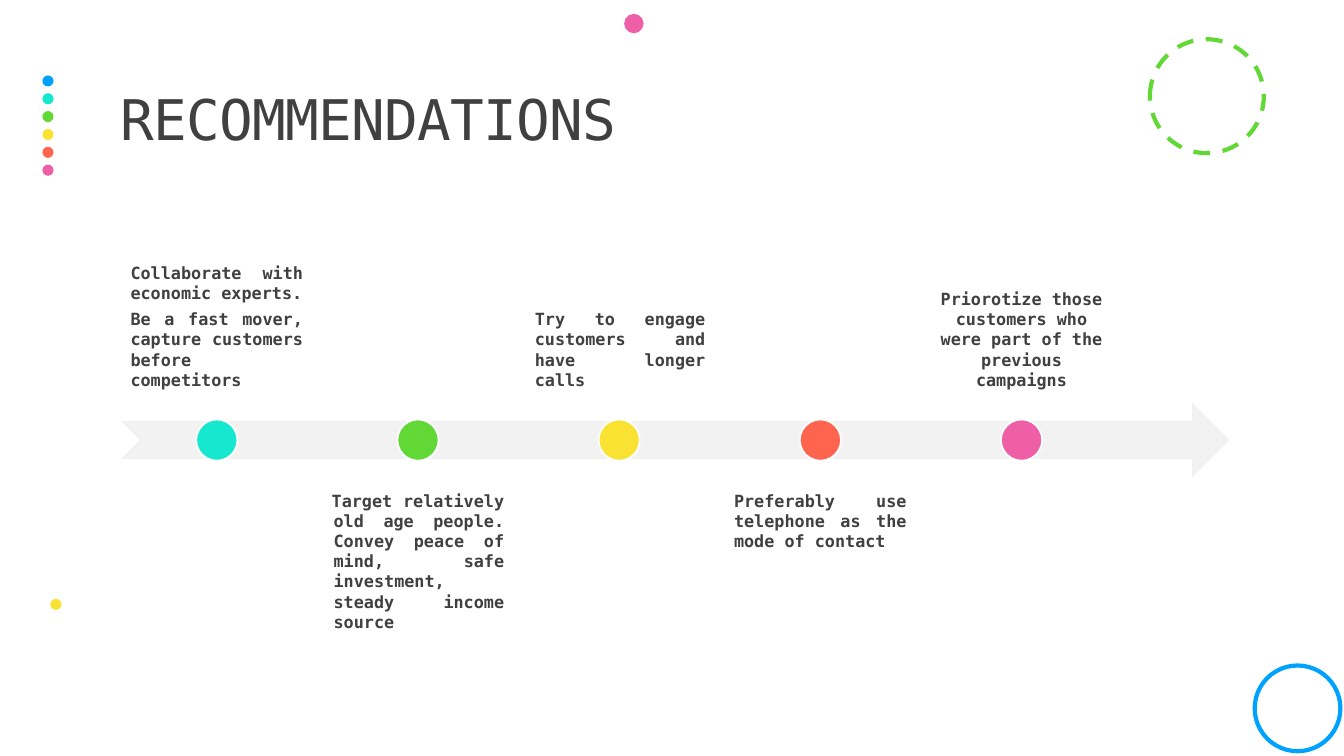
from pptx import Presentation
from pptx.dml.color import RGBColor
from pptx.enum.dml import MSO_LINE
from pptx.enum.shapes import MSO_SHAPE
from pptx.enum.text import MSO_ANCHOR, PP_ALIGN
from pptx.util import Cm, Pt

FONT = "DejaVu Sans Mono"
INK = "404040"
BLUE, TEAL, GREEN, YELLOW, ORANGE, PINK = PALETTE = (
    "00A2FF", "16E7CF", "61D836", "FAE232", "FF644E", "EF5FA7")

LEFT = 3.05
BAND_WIDTH = 27.94
STEP_PITCH = 5.07
STEP_WIDTH, STEP_HEIGHT = 4.83, 4.19
ABOVE_TOP, BELOW_TOP = 5.87, 12.12
MARKER_SIZE = 1.04
MARKER_TOP = 10.57

STEPS = [
    (["Collaborate with economic experts.",
      "Be a fast mover, capture customers before competitors"],
     PP_ALIGN.JUSTIFY, 0, 0),
    (["Target relatively old age people. Convey peace of mind, safe investment, "
      "steady income source"], PP_ALIGN.JUSTIFY, 0.05, -0.05),
    (["Try to engage customers and have longer calls"], PP_ALIGN.JUSTIFY, 0.05, 0),
    (["Preferably use telephone as the mode of contact"], PP_ALIGN.JUSTIFY, 0, 0),
    (["Priorotize those customers who were part of the previous campaigns"],
     PP_ALIGN.CENTER, 0, 0),
]


def color(hex_code):
    return RGBColor.from_string(hex_code)


def add_figure(slide, preset, left, top, width, height, fill=None, line=None, weight=3):
    figure = slide.shapes.add_shape(preset, Cm(left), Cm(top), Cm(width), Cm(height))
    figure.shadow.inherit = False
    if fill:
        figure.fill.solid()
        figure.fill.fore_color.rgb = color(fill)
    else:
        figure.fill.background()
    if line:
        figure.line.color.rgb = color(line)
        figure.line.width = Pt(weight)
    else:
        figure.line.fill.background()
    return figure


def add_circle(slide, left, top, size, **style):
    return add_figure(slide, MSO_SHAPE.OVAL, left, top, size, size, **style)


def add_frame(slide, left, top, width, height, anchor, inset_x, inset_y):
    frame = slide.shapes.add_textbox(Cm(left), Cm(top), Cm(width), Cm(height)).text_frame
    frame.word_wrap = True
    frame.vertical_anchor = anchor
    frame.margin_left = frame.margin_right = Cm(inset_x)
    frame.margin_top = frame.margin_bottom = Cm(inset_y)
    return frame


def add_run(paragraph, text, size, bold=False):
    run = paragraph.add_run()
    run.text = text
    run.font.name = FONT
    run.font.size = Pt(size)
    run.font.bold = bold
    run.font.color.rgb = color(INK)
    return run


def add_title(slide, text):
    frame = add_frame(slide, LEFT, 1.17, BAND_WIDTH, 3.81, MSO_ANCHOR.MIDDLE, 0, 0.13)
    heading = frame.paragraphs[0]
    heading.line_spacing = 0.9
    run = add_run(heading, text, 40)
    run.font._element.set("spc", "-50")


def add_step(slide, index, texts, alignment, margin, indent):
    left = LEFT + index * STEP_PITCH
    above = index % 2 == 0
    frame = add_frame(slide, left, ABOVE_TOP if above else BELOW_TOP,
                      STEP_WIDTH, STEP_HEIGHT,
                      MSO_ANCHOR.BOTTOM if above else MSO_ANCHOR.TOP, 0.24, 0.24)
    for number, text in enumerate(texts):
        paragraph = frame.add_paragraph() if number else frame.paragraphs[0]
        paragraph.alignment = alignment
        paragraph.space_after = Pt(4.2)
        properties = paragraph._p.get_or_add_pPr()
        properties.set("marL", str(Cm(margin)))
        properties.set("indent", str(Cm(indent)))
        add_run(paragraph, text, 12, bold=True)
    add_circle(slide, left + (STEP_WIDTH - MARKER_SIZE) / 2, MARKER_TOP, MARKER_SIZE,
               fill=PALETTE[index + 1], line="FFFFFF", weight=1.25)


def add_decoration(slide):
    for row, hue in enumerate(PALETTE):
        add_circle(slide, 1.07, 1.9 + row * 0.45, 0.28, fill=hue)
    dashed_ring = add_circle(slide, 28.98, 0.99, 2.87, line=GREEN)
    dashed_ring.line.dash_style = MSO_LINE.DASH
    add_circle(slide, 15.73, 0.35, 0.49, fill=PINK)
    add_circle(slide, 1.27, 15.09, 0.28, fill=YELLOW)
    add_circle(slide, 31.62, 16.77, 2.16, line=BLUE)


def main():
    deck = Presentation()
    deck.slide_width, deck.slide_height = Cm(33.87), Cm(19.05)
    slide = deck.slides.add_slide(deck.slide_layouts[6])
    add_decoration(slide)
    add_figure(slide, MSO_SHAPE.NOTCHED_RIGHT_ARROW, LEFT, 10.14, BAND_WIDTH, 1.9,
               fill="F2F2F2")
    for index, step in enumerate(STEPS):
        add_step(slide, index, *step)
    add_title(slide, "RECOMMENDATIONS")
    deck.save("out.pptx")


if __name__ == "__main__":
    main()
